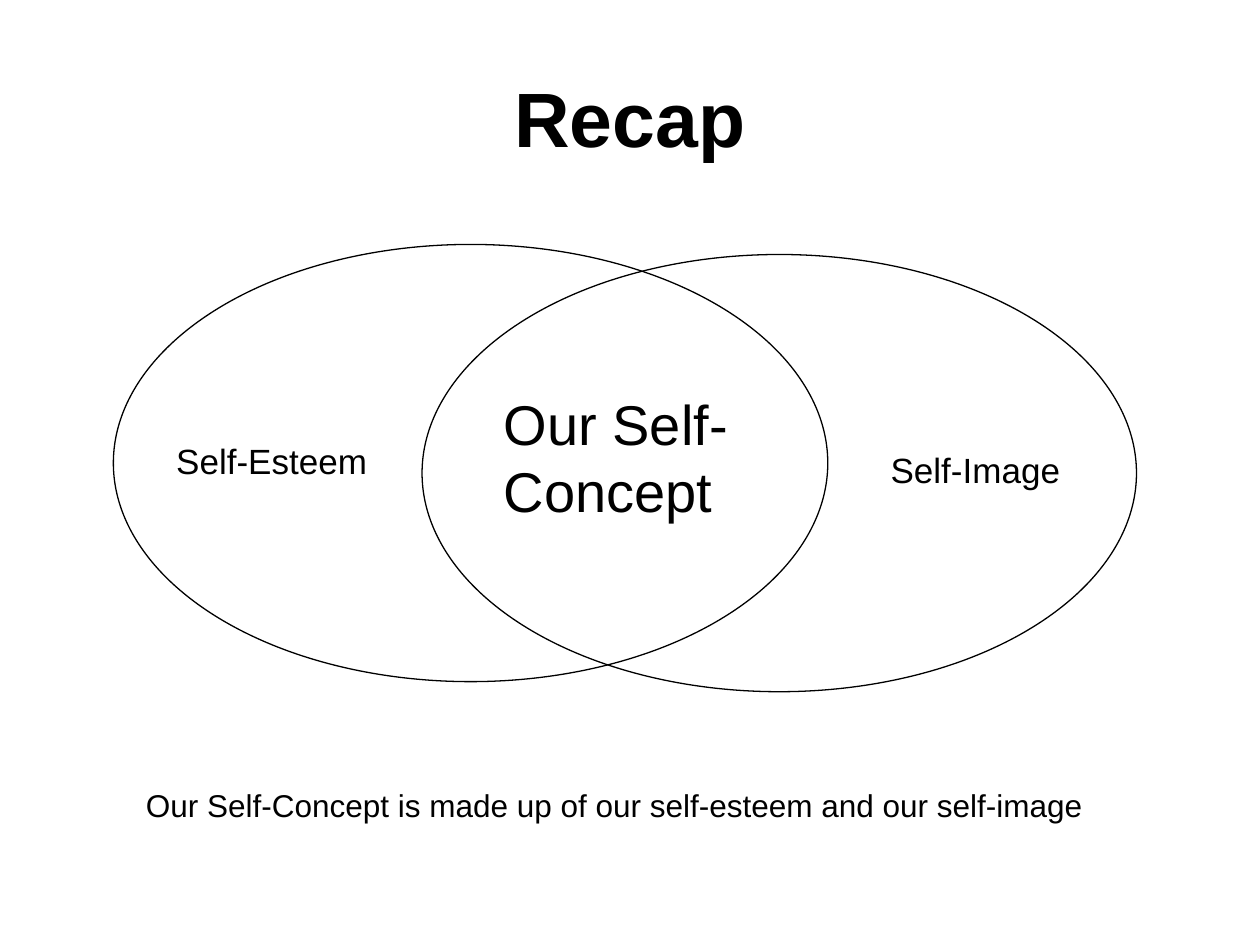
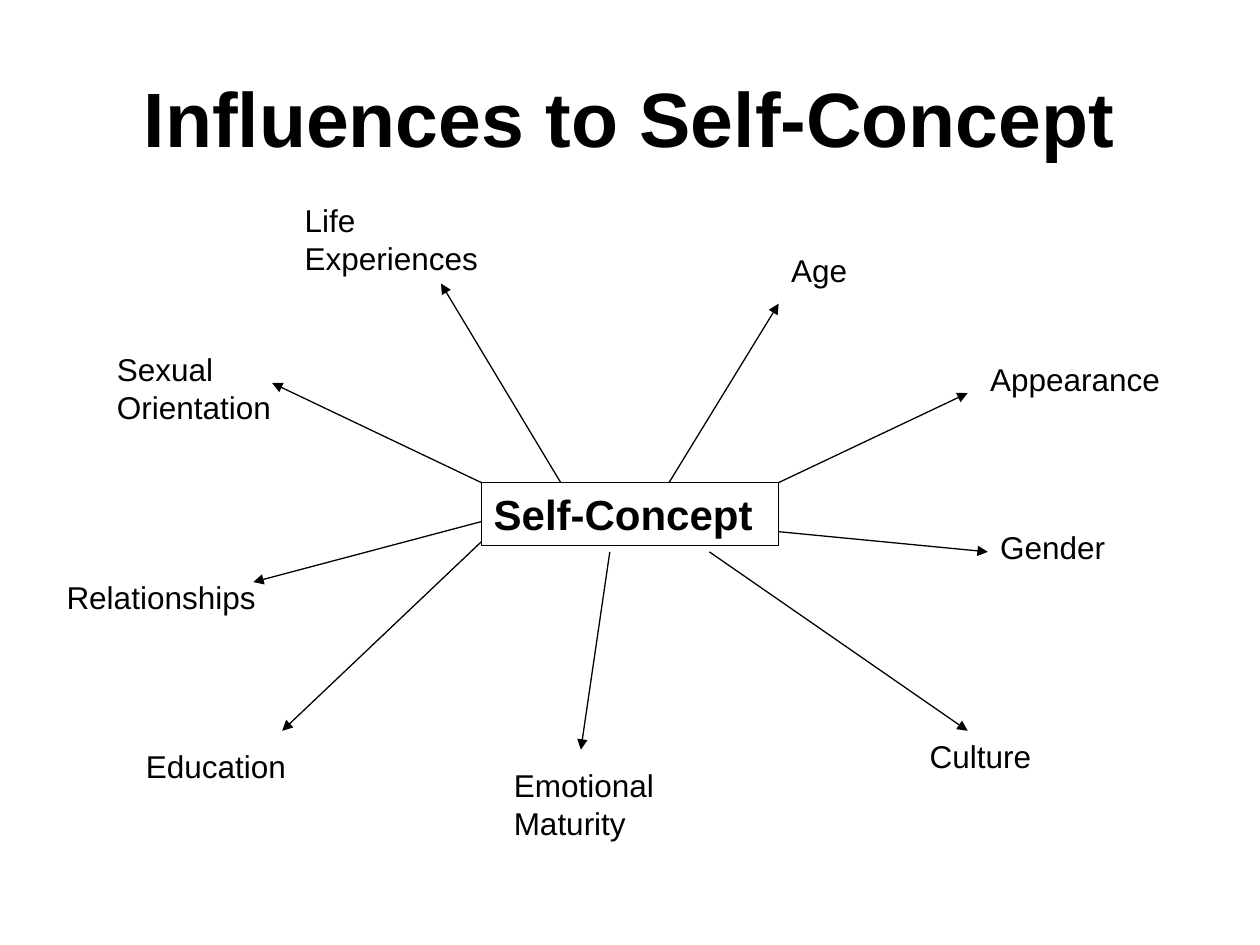
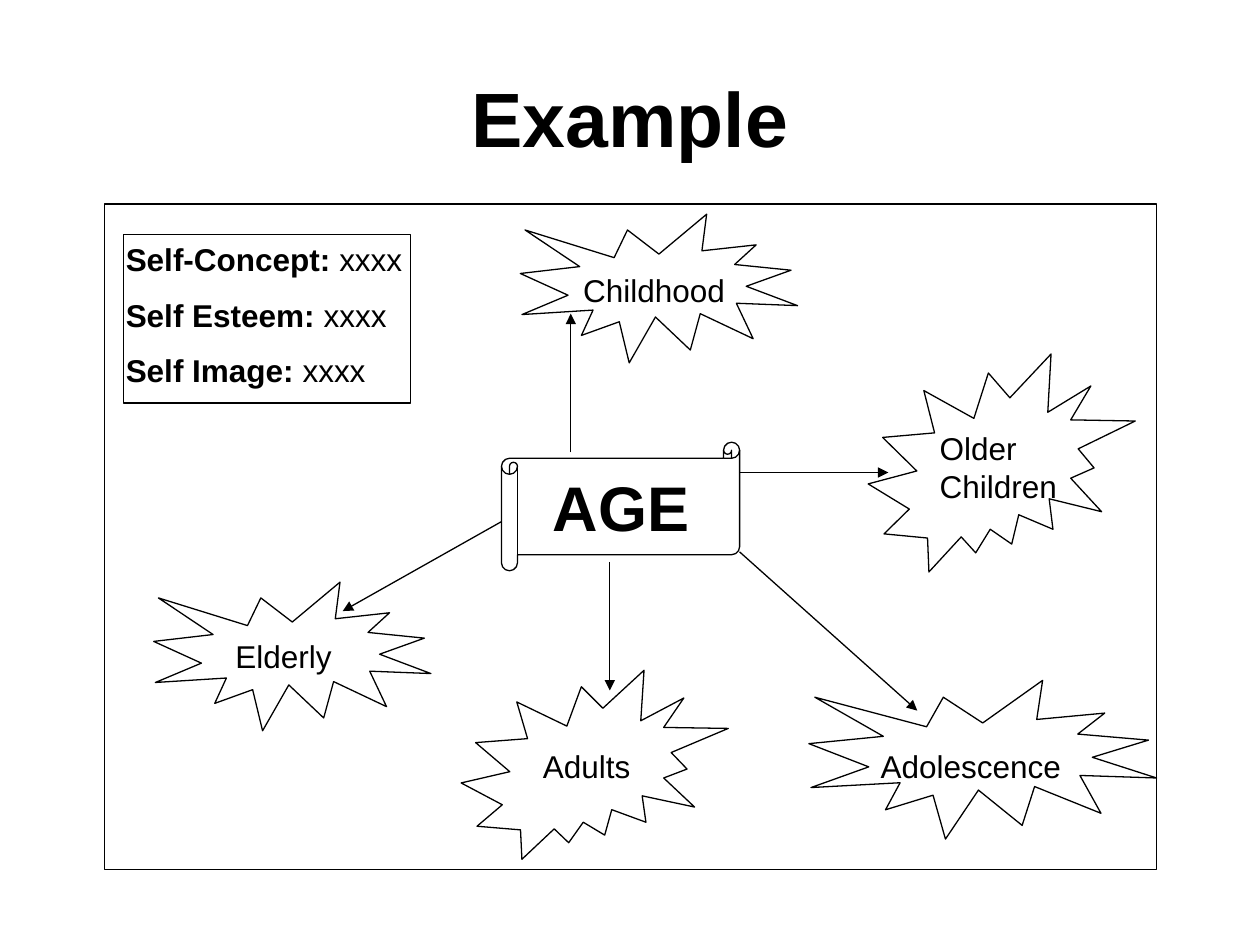
from lxml.etree import SubElement
from pptx import Presentation
from pptx.dml.color import RGBColor
from pptx.enum.shapes import MSO_CONNECTOR, MSO_SHAPE
from pptx.enum.text import MSO_ANCHOR, MSO_AUTO_SIZE, PP_ALIGN
from pptx.oxml.ns import qn
from pptx.util import Inches, Pt

# Shared look
COLORS = {"ink": "000000", "paper": "FFFFFF"}
FONT = "Arial"
TITLE_SIZE, TEXT_SIZE = 44, 18
TITLE_BOX = (0.5, 0.3, 9, 1.25)
LINE_WIDTH = 0.75
INSET, LINE_PITCH, PARAGRAPH_GAP = 0.05, 1.2, 10

# Recap: overlapping ellipses (left, top), labels (text, left, top, width, lines, size)
ELLIPSE_SIZE = (5.67, 3.47)
ELLIPSE_CORNERS = [(0.9, 1.94), (3.35, 2.02)]
RECAP_LABELS = [
    ("Our Self-Concept", 3.9, 3.04, 2.13, 2, 32),
    ("Self-Esteem", 1.3, 3.44, 1.89, 1, 20),
    ("Self-Image", 6.97, 3.51, 1.89, 1, 20),
    ("Our Self-Concept is made up of our self-esteem and our self-image",
     1.06, 6.19, 8.19, 1, TEXT_SIZE),
]

# Influences: text, left, top, lines, arrow start, arrow end
INFLUENCE_WIDTH = 1.73
INFLUENCES = [
    ("Age", 6.18, 1.94, 1, (5.31, 3.83), (6.18, 2.41)),
    ("Appearance", 7.76, 2.81, 1, (6.18, 3.83), (7.68, 3.12)),
    ("Gender", 7.84, 4.14, 1, (6.18, 4.22), (7.84, 4.38)),
    ("Culture", 7.28, 5.8, 1, (5.63, 4.38), (7.68, 5.8)),
    ("Emotional Maturity", 3.98, 6.03, 2, (4.84, 4.38), (4.61, 5.95)),
    ("Education", 1.06, 5.88, 1, (3.82, 4.3), (2.24, 5.8)),
    ("Relationships", 0.43, 4.54, 1, (3.82, 4.14), (2.01, 4.62)),
    ("Sexual Orientation", 0.83, 2.73, 2, (3.82, 3.83), (2.16, 3.04)),
    ("Life Experiences", 2.32, 1.55, 2, (4.45, 3.83), (3.5, 2.25)),
]

# Example: frame, summary and life stages
FRAME = (0.83, 1.62, 8.35, 5.28)
SCROLL = (3.98, 3.51, 1.89, 1.02)
SUMMARY_FRAME = (0.98, 1.86, 2.28, 1.34)
SUMMARY = [("Self-Concept: ", "xxxx"), ("Self Esteem: ", "xxxx"), ("Self Image: ", "xxxx")]
WIDE_BURST, TALL_BURST = MSO_SHAPE.EXPLOSION1, MSO_SHAPE.EXPLOSION2
# text, (left, top, width, lines), burst, burst box, arrow start, arrow end
STAGES = [
    ("Childhood", (4.53, 2.1, 1.34, 1), WIDE_BURST, (4.13, 1.7, 2.2, 1.18),
     (4.53, 3.59), (4.53, 2.49)),
    ("Older Children", (7.36, 3.36, 1.34, 2), TALL_BURST, (6.89, 2.81, 2.12, 1.73),
     (5.87, 3.75), (7.05, 3.75)),
    ("Adolescence", (6.89, 5.88, 2.12, 1), WIDE_BURST, (6.42, 5.4, 2.76, 1.26),
     (5.87, 4.38), (7.28, 5.64)),
    ("Adults", (4.21, 5.88, 1.18, 1), TALL_BURST, (3.66, 5.32, 2.12, 1.5),
     (4.84, 4.46), (4.84, 5.48)),
    ("Elderly", (1.77, 5.01, 1.42, 1), WIDE_BURST, (1.22, 4.62, 2.2, 1.18),
     (3.98, 4.14), (2.72, 4.85)),
]


def inches(values):
    return [Inches(value) for value in values]


def color(name):
    return RGBColor.from_string(COLORS[name])


def apply(target, **formats):
    for attribute, value in formats.items():
        setattr(target, attribute, value)


def write(paragraph, text, size, bold=False):
    run = paragraph.add_run()
    run.text = text
    apply(run.font, name=FONT, size=Pt(size), bold=bold)
    run.font.color.rgb = color("ink")


def outline(line):
    line.color.rgb = color("ink")
    line.width = Pt(LINE_WIDTH)


def add_titled_slide(deck, text):
    slide = deck.slides.add_slide(deck.slide_layouts[5])
    slide.background.fill.solid()
    slide.background.fill.fore_color.rgb = color("paper")
    title = slide.shapes.title
    left, top, width, height = inches(TITLE_BOX)
    apply(title, left=left, top=top, width=width, height=height)
    apply(title.text_frame, vertical_anchor=MSO_ANCHOR.MIDDLE, auto_size=MSO_AUTO_SIZE.NONE)
    heading = title.text_frame.paragraphs[0]
    heading.alignment = PP_ALIGN.CENTER
    write(heading, text, TITLE_SIZE, bold=True)
    return slide


def add_outline(slide, preset, box):
    shape = slide.shapes.add_shape(preset, *inches(box))
    shape.shadow.inherit = False
    shape.fill.background()
    outline(shape.line)


def add_label(slide, text, left, top, width, lines=1, size=TEXT_SIZE, bold=False):
    height = lines * size * LINE_PITCH / 72 + 2 * INSET
    label = slide.shapes.add_textbox(*inches((left, top, width, height)))
    apply(label.text_frame, word_wrap=True, auto_size=MSO_AUTO_SIZE.SHAPE_TO_FIT_TEXT)
    if text:
        write(label.text_frame.paragraphs[0], text, size, bold)
    return label


def add_arrow(slide, start, end):
    arrow = slide.shapes.add_connector(MSO_CONNECTOR.STRAIGHT, *inches(start + end))
    outline(arrow.line)
    SubElement(arrow.line._get_or_add_ln(), qn("a:tailEnd"), type="triangle")
    SubElement(arrow._element.spPr, qn("a:effectLst"))


def build_recap(deck):
    slide = add_titled_slide(deck, "Recap")
    for corner in ELLIPSE_CORNERS:
        add_outline(slide, MSO_SHAPE.OVAL, corner + ELLIPSE_SIZE)
    for label in RECAP_LABELS:
        add_label(slide, *label)


def build_influences(deck):
    slide = add_titled_slide(deck, "Influences to Self-Concept")
    hub = add_label(slide, "Self-Concept", 3.82, 3.83, 2.36, size=24, bold=True)
    outline(hub.line)
    for text, left, top, lines, start, end in INFLUENCES:
        add_label(slide, text, left, top, INFLUENCE_WIDTH, lines)
        add_arrow(slide, start, end)


def build_example(deck):
    slide = add_titled_slide(deck, "Example")
    add_outline(slide, MSO_SHAPE.RECTANGLE, FRAME)
    add_outline(slide, MSO_SHAPE.HORIZONTAL_SCROLL, SCROLL)
    add_label(slide, "AGE", 4.29, 3.67, 1.34, size=36, bold=True)

    # Summary of the three terms
    summary = add_label(slide, "", 0.9, 1.86, 2.6, len(SUMMARY)).text_frame
    for row, (term, value) in enumerate(SUMMARY):
        entry = summary.add_paragraph() if row else summary.paragraphs[0]
        entry.space_before = Pt(PARAGRAPH_GAP if row else 0)
        write(entry, term, TEXT_SIZE, bold=True)
        write(entry, value, TEXT_SIZE)
    add_outline(slide, MSO_SHAPE.RECTANGLE, SUMMARY_FRAME)

    # Life stages around the scroll
    for text, place, burst, box, start, end in STAGES:
        add_outline(slide, burst, box)
        add_label(slide, text, *place)
        add_arrow(slide, start, end)


def main():
    deck = Presentation()
    apply(deck, slide_width=Inches(10), slide_height=Inches(7.5))
    for build in (build_recap, build_influences, build_example):
        build(deck)
    deck.save("out.pptx")


if __name__ == "__main__":
    main()
